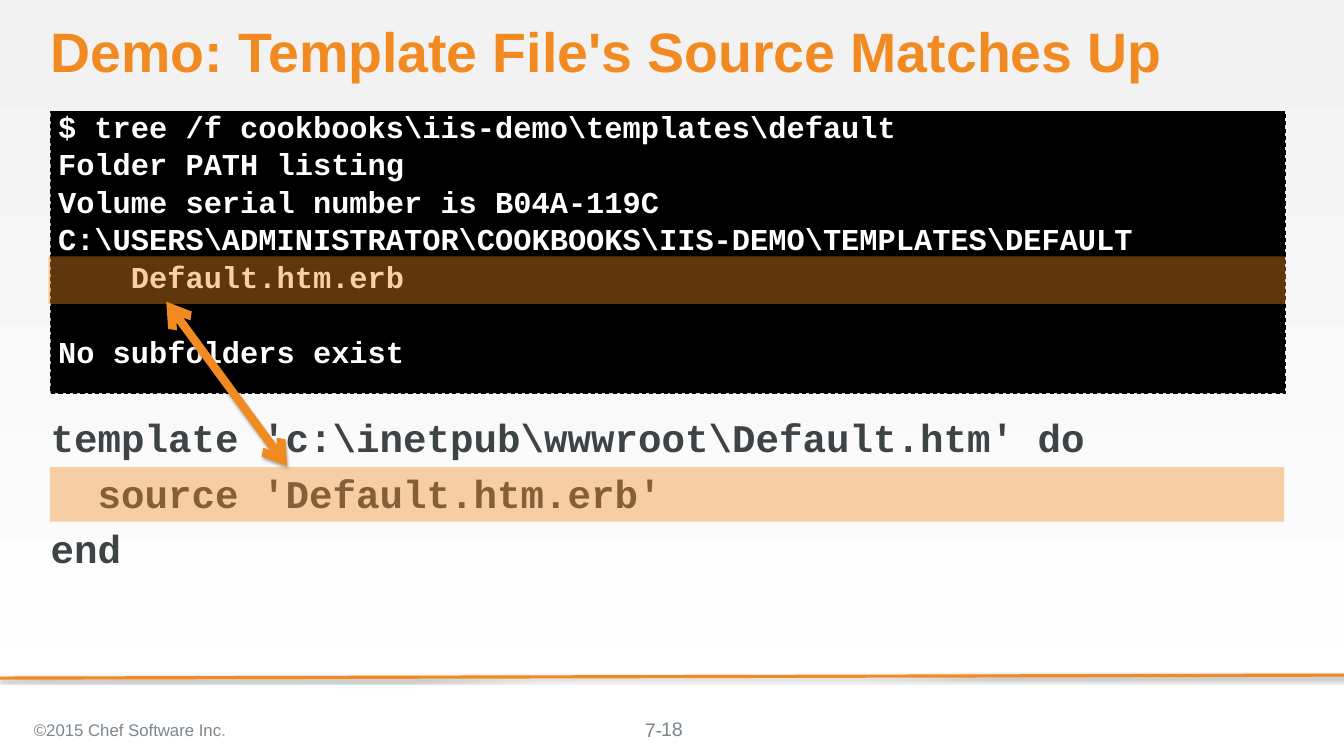
from dataclasses import dataclass

from lxml.etree import SubElement
from pptx import Presentation
from pptx.dml.color import RGBColor
from pptx.enum.dml import MSO_LINE
from pptx.enum.shapes import MSO_CONNECTOR, MSO_SHAPE
from pptx.enum.text import MSO_ANCHOR as Anchor, PP_ALIGN as Align
from pptx.oxml.ns import qn
from pptx.util import Inches, Pt


@dataclass(frozen=True)
class Theme:
    accent: str = "F18B21"
    black: str = "000000"
    white: str = "FFFFFF"
    code: str = "3E4346"
    footer: str = "7D868C"
    period: str = "929494"
    background_top: str = "F2F2F2"
    sans: str = "Arial"
    mono: str = "Courier New"
    title_size: float = 52.8
    code_size: float = 37.3
    terminal_size: float = 28.9
    page_size: float = 18.7
    copyright_size: float = 16


THEME = Theme()
LEFT, WIDTH = 0.67, 16.33
LINE_GAP = 8
BLANK_LINE_GAP = 43.7

LISTING = [
    r"$ tree /f cookbooks\iis-demo\templates\default",
    "Folder PATH listing",
    "Volume serial number is B04A-119C",
    r"C:\USERS\ADMINISTRATOR\COOKBOOKS\IIS-DEMO\TEMPLATES\DEFAULT",
    "    Default.htm.erb",
    "No subfolders exist",
]
RECIPE = [
    r"template 'c:\inetpub\wwwroot\Default.htm' do",
    "  source 'Default.htm.erb'",
    "end",
]


def rgb(color):
    return RGBColor.from_string(color)


def box(*lengths):
    return [Inches(length) for length in lengths]


def paint_background(slide):
    fill = slide.background.fill
    fill.gradient()
    fill.gradient_angle = 270
    for stop, color, position in zip(
        fill.gradient_stops, (THEME.background_top, THEME.white), (0, 1)
    ):
        stop.color.rgb = rgb(color)
        stop.position = position


def write_lines(text_frame, lines, font, size, color, bold=False, align=Align.LEFT):
    text_frame.word_wrap = True
    text_frame.text = "\n".join(lines)
    for index, paragraph in enumerate(text_frame.paragraphs):
        paragraph.alignment = align
        paragraph.space_before = Pt(LINE_GAP if index else 0)
        for run in paragraph.runs:
            run.font.name = font
            run.font.size = Pt(size)
            run.font.bold = bold
            run.font.color.rgb = rgb(color)


def add_text(slide, place, lines, font, size, color, inset=True,
             anchor=Anchor.TOP, **style):
    text_frame = slide.shapes.add_textbox(*box(*place)).text_frame
    text_frame.vertical_anchor = anchor
    if not inset:
        text_frame.margin_left = text_frame.margin_right = 0
        text_frame.margin_top = text_frame.margin_bottom = 0
    write_lines(text_frame, lines, font, size, color, **style)
    return text_frame


def add_rectangle(slide, place, color):
    shape = slide.shapes.add_shape(MSO_SHAPE.RECTANGLE, *box(*place))
    shape.shadow.inherit = False
    shape.fill.solid()
    shape.fill.fore_color.rgb = rgb(color)
    shape.line.fill.background()
    return shape


def add_terminal(slide):
    shape = add_rectangle(slide, (LEFT, 1.47, WIDTH, 3.73), THEME.black)
    shape.line.color.rgb = rgb(THEME.black)
    shape.line.width = Pt(1)
    shape.line.dash_style = MSO_LINE.DASH
    text_frame = shape.text_frame
    text_frame.vertical_anchor = Anchor.TOP
    write_lines(text_frame, LISTING, THEME.mono, THEME.terminal_size,
                THEME.white, bold=True)
    for paragraph in text_frame.paragraphs:
        paragraph.line_spacing = 0.8
    text_frame.paragraphs[-1].space_before = Pt(BLANK_LINE_GAP)


def add_highlight(slide, place):
    """Cover a line of code with a 40% opaque accent bar."""
    shape = add_rectangle(slide, place, THEME.accent)
    color = shape.fill._xPr.find(qn("a:solidFill"))[0]
    SubElement(color, qn("a:alpha"), val="40000")


def add_line(slide, start, end, width, arrows=False):
    """Draw an accent line with a soft shadow below it."""
    connector = slide.shapes.add_connector(
        MSO_CONNECTOR.STRAIGHT, *box(*start, *end)
    )
    connector.line.color.rgb = rgb(THEME.accent)
    connector.line.width = Pt(width)
    if arrows:
        outline = connector.line._get_or_add_ln()
        for name in ("a:headEnd", "a:tailEnd"):
            SubElement(outline, qn(name), type="arrow")
    effects = SubElement(connector._element.spPr, qn("a:effectLst"))
    shadow = SubElement(
        effects, qn("a:outerShdw"), blurRad=str(Pt(3.1)), dist=str(Pt(1.8)),
        dir="5400000", rotWithShape="0",
    )
    color = SubElement(shadow, qn("a:srgbClr"), val=THEME.black)
    SubElement(color, qn("a:alpha"), val="35000")


def add_footer(slide):
    add_text(slide, (8.53, 9.49, 0.76, 0.31), ["7-"], THEME.sans,
             THEME.page_size, THEME.footer, inset=False)
    add_text(slide, (6.89, 9.38, 4, 0.53), ["18"], THEME.sans, THEME.page_size,
             THEME.footer, anchor=Anchor.MIDDLE, align=Align.CENTER)
    text_frame = add_text(
        slide, (0.35, 9.38, 6.21, 0.56), ["©2015 Chef Software Inc"], THEME.sans,
        THEME.copyright_size, THEME.footer, anchor=Anchor.MIDDLE,
    )
    period = text_frame.paragraphs[0].add_run()
    period.text = "."
    period.font.name = THEME.sans
    period.font.size = Pt(THEME.copyright_size)
    period.font.color.rgb = rgb(THEME.period)


def main():
    presentation = Presentation()
    presentation.slide_width, presentation.slide_height = box(17.78, 10)
    slide = presentation.slides.add_slide(presentation.slide_layouts[6])
    paint_background(slide)
    add_line(slide, (17.78, 8.93), (0, 8.97), 3)
    title = add_text(slide, (LEFT, 0.33, WIDTH, 0.91),
                     ["Demo: Template File's Source Matches Up"], THEME.sans,
                     THEME.title_size, THEME.accent, inset=False, bold=True)
    title.paragraphs[0].line_spacing = 0.9
    add_terminal(slide)
    add_text(slide, (LEFT, 5.47, WIDTH, 3.73), RECIPE, THEME.mono,
             THEME.code_size, THEME.code, inset=False, bold=True)
    add_line(slide, (2.2, 3.99), (3.8, 6.17), 8, arrows=True)
    add_highlight(slide, (0.64, 3.39, 16.37, 0.63))
    add_highlight(slide, (0.66, 6.18, WIDTH, 0.72))
    add_footer(slide)
    presentation.save("out.pptx")


if __name__ == "__main__":
    main()
